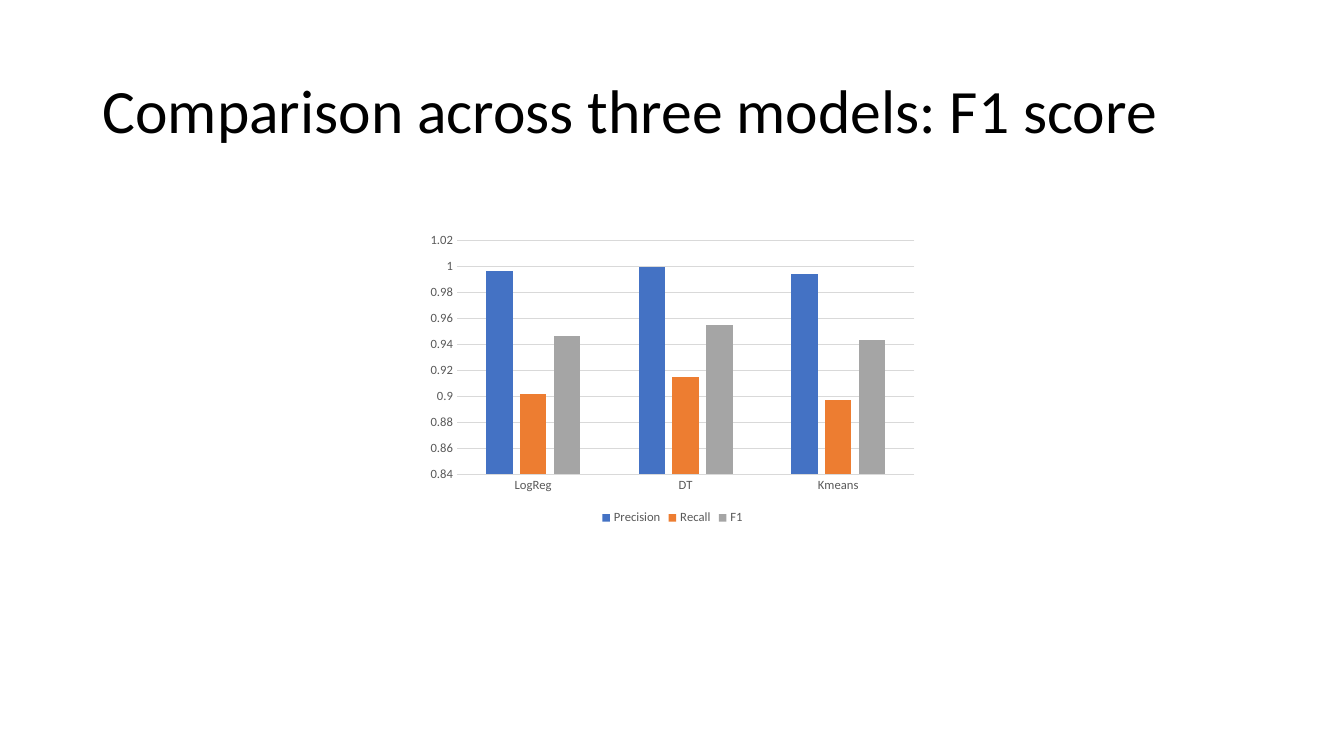
from pptx import Presentation
from pptx.chart.data import CategoryChartData
from pptx.dml.color import RGBColor
from pptx.enum.chart import XL_CHART_TYPE, XL_LEGEND_POSITION, XL_TICK_MARK
from pptx.enum.text import MSO_ANCHOR
from pptx.util import Inches, Pt

# Content
TITLE = "Comparison across three models: F1 score"
MODELS = ["LogReg", "DT", "Kmeans"]
SCORES = [
    ("Precision", (0.996, 0.999, 0.994), "4472C4"),
    ("Recall", (0.902, 0.915, 0.897), "ED7D31"),
    ("F1", (0.946, 0.955, 0.943), "A5A5A5"),
]
FONT = "Calibri"
BLACK, LABEL_GRAY, RULE_GRAY = "000000", "595959", "D9D9D9"


def color(hex_value):
    return RGBColor.from_string(hex_value)


def set_font(font, size, hex_value):
    font.name = FONT
    font.size = Pt(size)
    font.color.rgb = color(hex_value)


def set_rule(line):
    line.color.rgb = color(RULE_GRAY)
    line.width = Pt(0.75)


presentation = Presentation()
presentation.slide_width = Inches(13.33)
presentation.slide_height = Inches(7.5)
slide = presentation.slides.add_slide(presentation.slide_layouts[6])

# Title
title = slide.shapes.add_textbox(
    Inches(0.92), Inches(0.4), Inches(11.5), Inches(1.45)).text_frame
title.word_wrap = True
title.vertical_anchor = MSO_ANCHOR.MIDDLE
heading = title.paragraphs[0]
heading.text = TITLE
heading.line_spacing = 0.9
set_font(heading.font, 44, BLACK)

# Chart of scores by model
score_data = CategoryChartData()
score_data.categories = MODELS
for name, values, _ in SCORES:
    score_data.add_series(name, values)
chart = slide.shapes.add_chart(
    XL_CHART_TYPE.COLUMN_CLUSTERED,
    Inches(4.17), Inches(2.25), Inches(5), Inches(3), score_data).chart
chart.has_title = False
set_font(chart.font, 10, BLACK)

# Columns
columns = chart.plots[0]
columns.gap_width = 219
columns.overlap = -27
columns.vary_by_categories = False
for series, (_, _, fill) in zip(columns.series, SCORES):
    series.format.fill.solid()
    series.format.fill.fore_color.rgb = color(fill)
    series.invert_if_negative = False

# Axes
model_axis, score_axis = chart.category_axis, chart.value_axis
for axis in (model_axis, score_axis):
    axis.major_tick_mark = XL_TICK_MARK.NONE
    axis.minor_tick_mark = XL_TICK_MARK.NONE
    set_font(axis.tick_labels.font, 9, LABEL_GRAY)
set_rule(model_axis.format.line)
score_axis.format.line.fill.background()
score_axis.minimum_scale = 0.84
score_axis.maximum_scale = 1.02
score_axis.major_unit = 0.02
score_axis.has_major_gridlines = True
set_rule(score_axis.major_gridlines.format.line)

# Legend
chart.has_legend = True
chart.legend.position = XL_LEGEND_POSITION.BOTTOM
chart.legend.include_in_layout = False
set_font(chart.legend.font, 9, LABEL_GRAY)

presentation.save("out.pptx")
